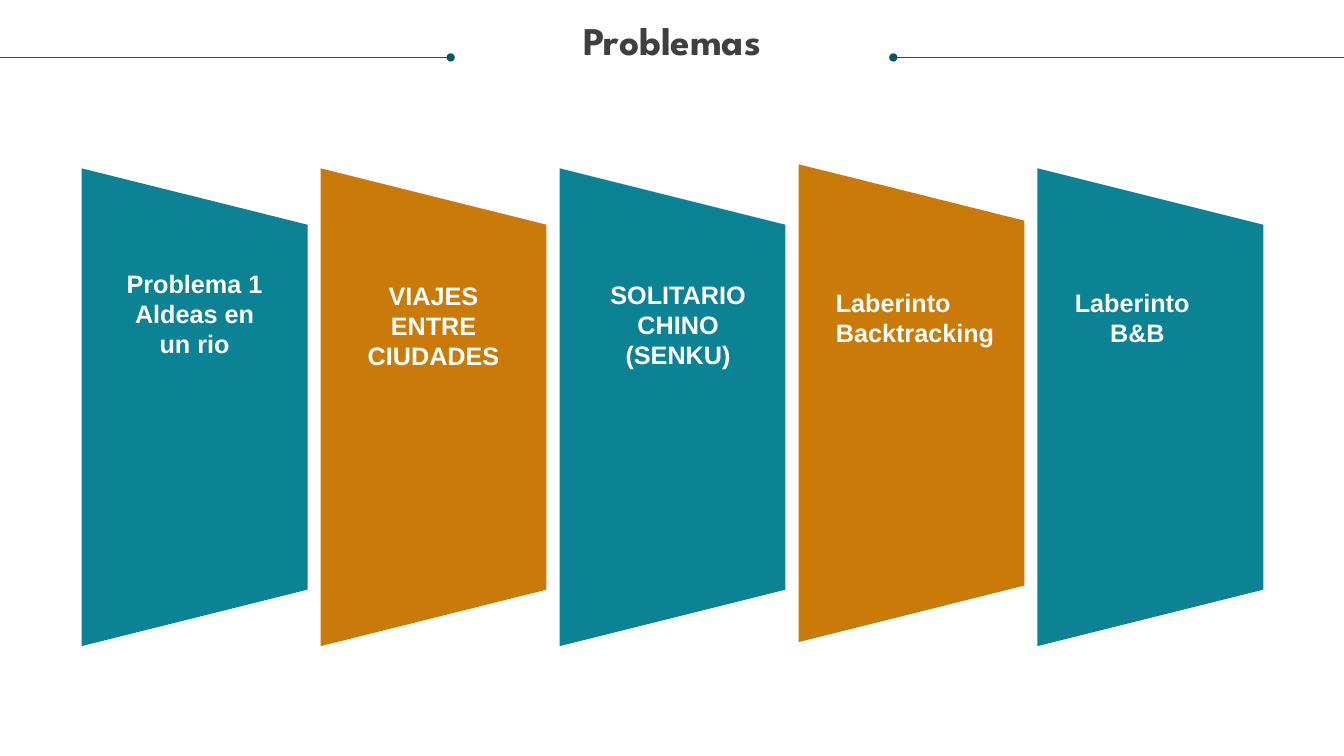
"""Build the "Problemas" slide with five trapezoid panels."""
from lxml import etree
from pptx import Presentation
from pptx.dml.color import RGBColor
from pptx.enum.shapes import MSO_CONNECTOR, MSO_SHAPE
from pptx.enum.text import MSO_ANCHOR, PP_ALIGN
from pptx.oxml.ns import qn
from pptx.util import Inches, Pt

TRAPEZOID = MSO_SHAPE.TRAPEZOID
STRAIGHT = MSO_CONNECTOR.STRAIGHT
TOP = MSO_ANCHOR.TOP
LEFT, CENTER = PP_ALIGN.LEFT, PP_ALIGN.CENTER

TEAL = RGBColor(0x0C, 0x82, 0x95)
ORANGE = RGBColor(0xCA, 0x7A, 0x09)
DARK_TEAL = RGBColor(0x08, 0x57, 0x63)
GRAY = RGBColor(0x3F, 0x3F, 0x3F)
WHITE = RGBColor(0xFF, 0xFF, 0xFF)

TITLE = "Problemas"
# Panel fields: colour, panel top, text top, text width, text height, alignment, (line, indent) pairs
PANELS = [
    (TEAL, 1.67, 2.66, 1.5, 0.61, CENTER, [("Problema 1", 0), ("Aldeas en un rio", 0)]),
    (ORANGE, 1.67, 2.78, 1.5, 0.61, CENTER, [("VIAJES ENTRE CIUDADES", 0)]),
    (TEAL, 1.67, 2.77, 1.61, 0.91, CENTER, [("SOLITARIO CHINO", 0), ("(SENKU)", 0)]),
    (ORANGE, 1.63, 2.85, 1.61, 0.91, LEFT, [("Laberinto", 0), ("Backtracking", 0)]),
    (TEAL, 1.67, 2.85, 1.61, 0.76, LEFT, [("Laberinto", 0), ("B&B", 0.35)]),
]
RULES = [(0, 4.47, "a:tailEnd"), (8.86, 13.33, "a:headEnd")]

SLIDE_WIDTH, SLIDE_HEIGHT = 13.33, 7.5
RULE_Y = 0.57
PANEL_LEFT, PANEL_STEP = 0.81, 2.37
PANEL_WIDTH, PANEL_HEIGHT = 2.24, 4.74
TEXT_LEFT = 1.18


def prepare_frame(frame):
    """Remove the margins and wrap the text from the top."""
    frame.margin_left = frame.margin_right = frame.margin_top = frame.margin_bottom = 0
    frame.word_wrap = True
    frame.vertical_anchor = TOP


def add_run(paragraph, text, font_name, size, color):
    """Add one bold run."""
    run = paragraph.add_run()
    run.text = text
    run.font.name = font_name
    run.font.size = Pt(size)
    run.font.bold = True
    run.font.color.rgb = color


def add_title(slide):
    """Place the title in its placeholder."""
    title = slide.shapes.title
    title.left, title.top = Inches(0.25), Inches(0.21)
    title.width, title.height = Inches(12.83), Inches(0.42)
    prepare_frame(title.text_frame)
    paragraph = title.text_frame.paragraphs[0]
    paragraph.alignment = CENTER
    paragraph.line_spacing = 0.9
    add_run(paragraph, TITLE, "League Spartan", 28, GRAY)


def add_rule(slide, start, end, dot_tag):
    """Draw a horizontal rule with a dot at its inner end."""
    rule = slide.shapes.add_connector(
        STRAIGHT, Inches(start), Inches(RULE_Y), Inches(end), Inches(RULE_Y))
    rule.line.color.rgb = DARK_TEAL
    rule.line.width = Pt(0.75)
    dot = etree.SubElement(rule.line._get_or_add_ln(), qn(dot_tag))
    dot.set("type", "oval")
    etree.SubElement(rule._element.spPr, qn("a:effectLst"))


def add_panel(slide, index, color, top):
    """Draw a trapezoid turned so that its long side is on the left."""
    turn_shift = (PANEL_HEIGHT - PANEL_WIDTH) / 2
    left = PANEL_LEFT + index * PANEL_STEP
    panel = slide.shapes.add_shape(
        TRAPEZOID, Inches(left - turn_shift), Inches(top + turn_shift),
        Inches(PANEL_HEIGHT), Inches(PANEL_WIDTH))
    panel.rotation = 90
    panel.adjustments[0] = 0.25
    panel.shadow.inherit = False
    panel.fill.solid()
    panel.fill.fore_color.rgb = color
    panel.line.fill.background()


def add_label(slide, index, top, width, height, alignment, lines):
    """Write the label of a panel."""
    box = slide.shapes.add_textbox(
        Inches(TEXT_LEFT + index * PANEL_STEP), Inches(top), Inches(width), Inches(height))
    frame = box.text_frame
    prepare_frame(frame)
    for number, (text, indent) in enumerate(lines):
        paragraph = frame.add_paragraph() if number else frame.paragraphs[0]
        paragraph.alignment = alignment
        if indent:
            paragraph._p.get_or_add_pPr().set("marL", str(Inches(indent)))
        add_run(paragraph, text, "Arial", 18, WHITE)


def main():
    """Build and save the presentation."""
    presentation = Presentation()
    presentation.slide_width = Inches(SLIDE_WIDTH)
    presentation.slide_height = Inches(SLIDE_HEIGHT)
    slide = presentation.slides.add_slide(presentation.slide_layouts.get_by_name("Title Only"))
    add_title(slide)
    for start, end, dot_tag in RULES:
        add_rule(slide, start, end, dot_tag)
    for index, (color, panel_top, *label) in enumerate(PANELS):
        add_panel(slide, index, color, panel_top)
        add_label(slide, index, *label)
    presentation.save("out.pptx")


if __name__ == "__main__":
    main()
